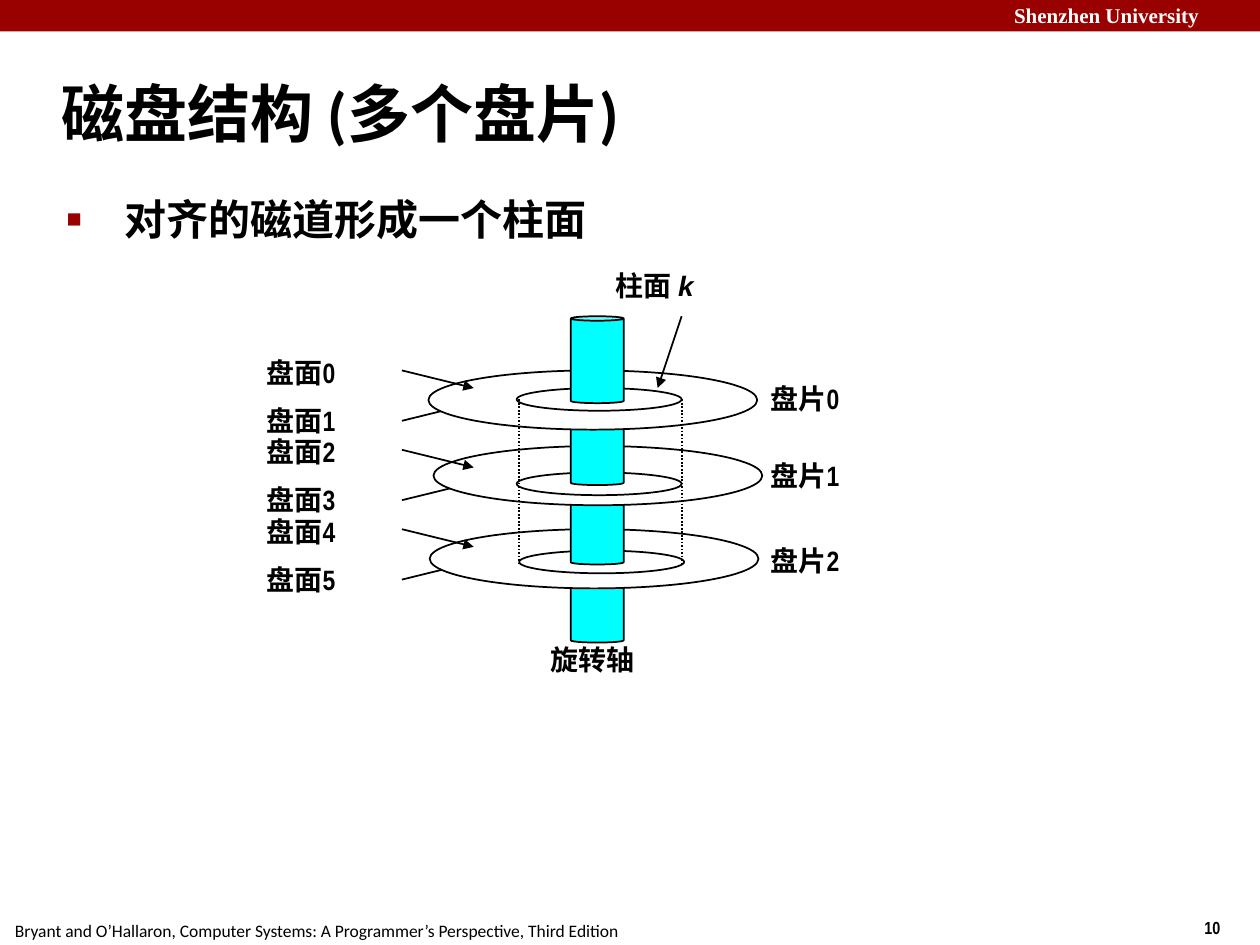
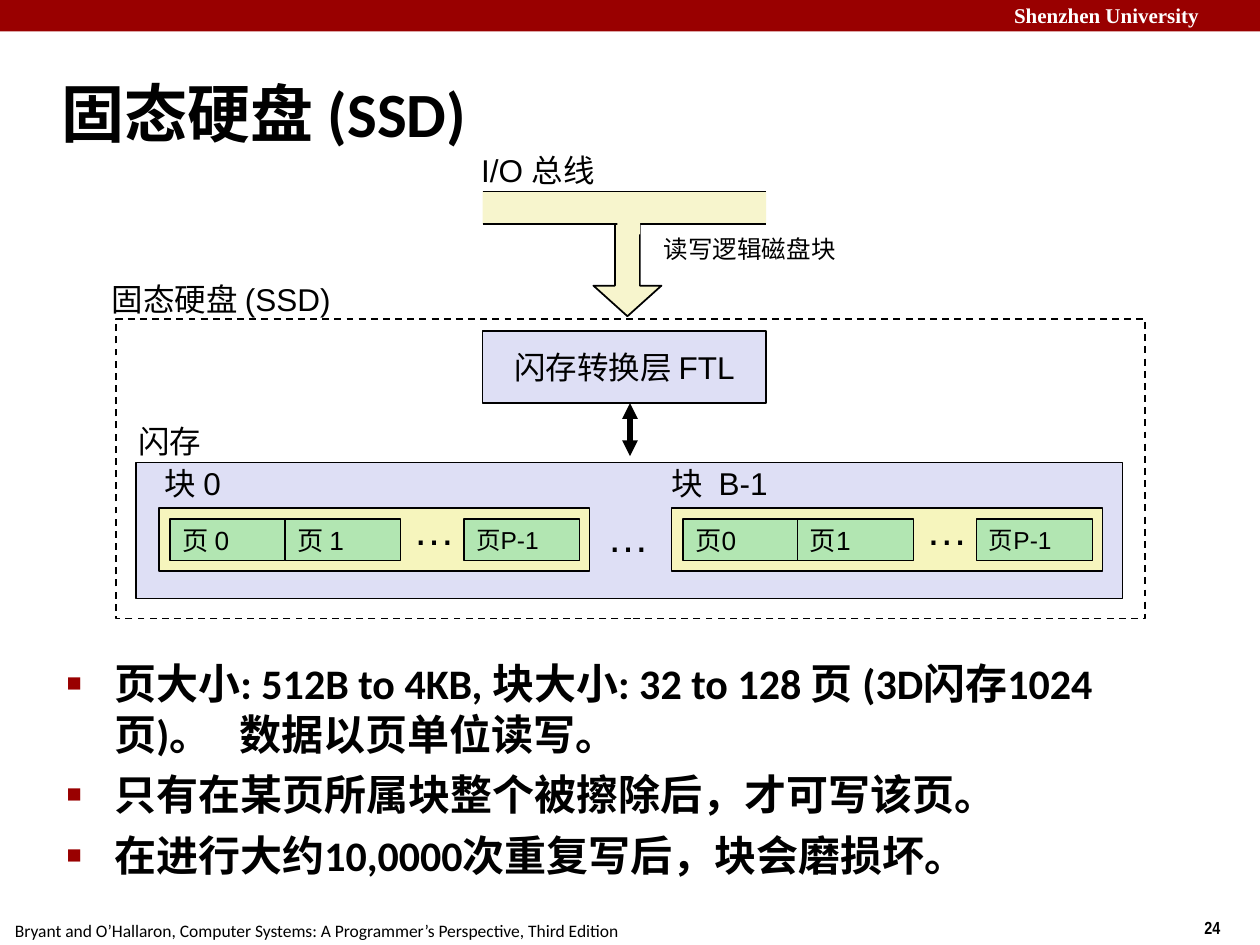
from dataclasses import dataclass
from typing import NamedTuple, Optional

import pptx
import pptx.dml.color
import pptx.enum.dml
import pptx.enum.shapes
import pptx.enum.text
import pptx.oxml
import pptx.oxml.ns
import pptx.util

Inches = pptx.util.Inches
Pt = pptx.util.Pt
SHAPE = pptx.enum.shapes.MSO_SHAPE
ALIGN = pptx.enum.text.PP_ALIGN
ANCHOR = pptx.enum.text.MSO_ANCHOR
FIT = pptx.enum.text.MSO_AUTO_SIZE
DASH = pptx.enum.dml.MSO_LINE


@dataclass(frozen=True)
class Theme:
    red: str = "990000"
    black: str = "000000"
    white: str = "FFFFFF"
    cyan: str = "00FFFF"
    lilac: str = "DEDFF5"
    cream: str = "F7F5CD"
    yellow: str = "F6F5BD"
    green: str = "B2E6B2"
    sans: str = "Arial"
    narrow: str = "Arial Narrow"
    main: str = "Calibri"
    serif: str = "Times New Roman"
    title: float = 36
    body: float = 24
    label: float = 18
    disk: float = 16
    page: float = 15
    note: float = 14
    head: float = 12
    foot: float = 10


T = Theme()


class Style(NamedTuple):
    font: str
    size: float
    bold: bool = False
    color: str = T.black


class Run(NamedTuple):
    text: str
    italic: bool = False
    gap: float = 0  # extra letter spacing in points


class Box(NamedTuple):
    x: float
    y: float
    w: float
    h: float


class Platter(NamedTuple):
    disc: tuple[float, float]
    ring: tuple[float, float]
    spin: float
    name: float


class Block(NamedTuple):
    x: float
    title: list[Run]
    inset: float
    width: float
    pages: tuple[str, str, str]


HEAD = Style(T.serif, T.head, True, T.white)
NUMBER = Style(T.narrow, T.foot, True)
FOOT = Style(T.main, T.foot)
TITLE = Style(T.main, T.title, True)
BODY = Style(T.main, T.body, True)
DISK = Style(T.narrow, T.disk, True)
LABEL = Style(T.sans, T.label)
PAGE = Style(T.sans, T.page)
SMALL = Style(T.sans, T.note)
NOTE = Style(T.narrow, T.note)
DOTS = Style(T.sans, T.body)

PLATTERS = [
    Platter((3.40, 2.94), (4.10, 3.08), 3.16, 2.98),
    Platter((3.44, 3.54), (4.10, 3.75), 3.79, 3.59),
    Platter((3.41, 4.20), (4.12, 4.37), 4.41, 4.26),
]
BLOCKS = [
    Block(1.26, [Run("块 0")], 0.05, 0.72, ("页 0", "页 1", "页P-1")),
    Block(5.33, [Run("块"), Run(" ", gap=5), Run("B-1")], 0.1, 1.03,
          ("页0", "页1", "页P-1")),
]


def rgb(code: str):
    return pptx.dml.color.RGBColor.from_string(code)


def add_runs(para, runs: list[Run], style: Style) -> None:
    for part in runs:
        run = para.add_run()
        run.text = part.text
        font = run.font
        font.name, font.size = style.font, Pt(style.size)
        font.bold, font.italic = style.bold, part.italic
        font.color.rgb = rgb(style.color)
        if part.gap:
            font._element.set("spc", str(round(part.gap * 100)))


def add_text(slide, box: Box, runs: list[Run], style: Style,
             wrap: bool = False, middle: bool = False):
    """Add a text box; one that does not wrap grows to fit its line."""
    shape = slide.shapes.add_textbox(*map(Inches, box))
    frame = shape.text_frame
    frame.word_wrap = wrap
    frame.auto_size = FIT.NONE if wrap else FIT.SHAPE_TO_FIT_TEXT
    frame.vertical_anchor = ANCHOR.MIDDLE if middle else ANCHOR.TOP
    add_runs(frame.paragraphs[0], runs, style)
    return shape


def add_shape(slide, kind, box: Box, fill: Optional[str] = None,
              line: Optional[str] = T.black):
    shape = slide.shapes.add_shape(kind, *map(Inches, box))
    shape.shadow.inherit = False
    if fill:
        shape.fill.solid()
        shape.fill.fore_color.rgb = rgb(fill)
    else:
        shape.fill.background()
    if line:
        shape.line.color.rgb = rgb(line)
        shape.line.width = Pt(1)
    else:
        shape.line.fill.background()
    return shape


def fill_text(shape, text: str, style: Style, align) -> None:
    frame = shape.text_frame
    frame.word_wrap = False
    frame.vertical_anchor = ANCHOR.MIDDLE
    para = frame.paragraphs[0]
    para.alignment = align
    add_runs(para, [Run(text)], style)


def add_line(slide, start: tuple[float, float], end: tuple[float, float],
             width: float = 1, ends: tuple[str, ...] = (), dash=None) -> None:
    """Draw a line; ends may hold "headEnd" (start) and "tailEnd" (end)."""
    line = slide.shapes.add_connector(
        pptx.enum.shapes.MSO_CONNECTOR.STRAIGHT, *map(Inches, start + end))
    line.line.color.rgb = rgb(T.black)
    line.line.width = Pt(width)
    if dash:
        line.line.dash_style = dash
    stroke = line.line._get_or_add_ln()
    for tag in ends:
        tip = pptx.oxml.ns.qn("a:" + tag)
        stroke.append(stroke.makeelement(tip, {"type": "triangle"}))
    props = line._element.spPr
    props.append(props.makeelement(pptx.oxml.ns.qn("a:effectLst"), {}))


def add_list(slide, box: Box, items: list[list[Run]], indent: float) -> None:
    frame = add_text(slide, box, [], BODY, wrap=True).text_frame
    for index, runs in enumerate(items):
        para = frame.add_paragraph() if index else frame.paragraphs[0]
        props = para._p.get_or_add_pPr()
        props.set("marL", str(Inches(indent)))
        props.set("indent", str(-Inches(indent)))
        if index:
            para.space_before = Pt(6)
        space = pptx.oxml.ns.nsdecls("a")
        for mark in (f'<a:buClr {space}><a:srgbClr val="{T.red}"/></a:buClr>',
                     f'<a:buSzPct {space} val="60000"/>',
                     f'<a:buFont {space} typeface="{T.sans}"/>',
                     f'<a:buChar {space} char="■"/>'):
            props.append(pptx.oxml.parse_xml(mark))
        add_runs(para, runs, BODY)


def add_slide(deck, title: str, number: int):
    """Add a blank slide with the shared band, footer and title."""
    slide = deck.slides.add_slide(deck.slide_layouts[6])
    add_shape(slide, SHAPE.RECTANGLE, Box(0, 0, 10, 0.25), T.red, None)
    add_text(slide, Box(7.95, -0.03, 2.12, 0.3),
             [Run("Shenzhen University")], HEAD, wrap=True)
    add_text(slide, Box(9.46, 7.23, 0.75, 0.27), [Run(str(number))], NUMBER,
             wrap=True)
    add_text(slide, Box(0.02, 7.25, 5.01, 0.27),
             [Run("Bryant and O’Hallaron, Computer Systems: "
                  "A Programmer’s Perspective, Third Edition")], FOOT)
    add_text(slide, Box(0.39, 0.48, 8.3, 0.83), [Run(title)], TITLE,
             wrap=True, middle=True)
    return slide


def add_spin(slide, top: float) -> None:
    can = add_shape(slide, SHAPE.CAN, Box(4.53, top, 0.42, 0.69), T.cyan)
    can.adjustments[0] = 0.085


def add_disk(slide, index: int, disk: Platter) -> None:
    """Draw one platter, its track, its two surfaces and the axle below."""
    upper = 2.94 + 0.63 * index
    lower = upper + 0.4
    tip = ("tailEnd",)
    add_line(slide, (3.19, lower), (3.76, lower - 0.14), ends=tip)
    add_spin(slide, disk.spin)
    add_shape(slide, SHAPE.OVAL, Box(*disk.disc, 2.61, 0.47), T.white)
    add_shape(slide, SHAPE.OVAL, Box(*disk.ring, 1.31, 0.18))
    add_line(slide, (3.19, upper), (3.76, upper + 0.14), ends=tip)
    for side, top in enumerate((upper - 0.17, upper + 0.21)):
        add_text(slide, Box(2.02, top, 0.8, 0.37),
                 [Run(f"盘面{2 * index + side}")], DISK, middle=True)
    add_text(slide, Box(6.02, disk.name, 0.8, 0.37),
             [Run(f"盘片{index}")], DISK, middle=True)


def draw_disks(deck) -> None:
    slide = add_slide(deck, "磁盘结构 (多个盘片)", 10)
    add_list(slide, Box(0.43, 1.49, 8.64, 5.44),
             [[Run("对齐的磁道形成一个柱面")]], 0.46)
    for index, disk in reversed(list(enumerate(PLATTERS))):
        add_disk(slide, index, disk)
    add_spin(slide, 2.51)
    for x in (4.12, 5.41):
        add_line(slide, (x, 3.17), (x, 4.47), dash=DASH.ROUND_DOT)
    add_text(slide, Box(4.79, 2.08, 0.87, 0.37),
             [Run("柱面 "), Run("k", True)],
             DISK._replace(font=T.sans), middle=True)
    add_line(slide, (5.41, 2.51), (5.22, 3.08), ends=("tailEnd",))
    add_text(slide, Box(4.27, 5.05, 0.88, 0.37), [Run("旋转轴")], DISK,
             middle=True)


def add_block(slide, block: Block) -> None:
    x = block.x
    add_shape(slide, SHAPE.RECTANGLE, Box(x, 4.03, 3.42, 0.5), T.yellow)
    styles = (PAGE, PAGE, SMALL)
    for left, text, style in zip((0.09, 1.0, 2.42), block.pages, styles):
        page = add_shape(slide, SHAPE.RECTANGLE,
                         Box(x + left, 4.12, 0.92, 0.33), T.green)
        fill_text(page, text, style, ALIGN.LEFT)
    add_text(slide, Box(x + 1.92, 3.95, 0.53, 0.5), [Run("…")], DOTS)
    add_text(slide, Box(x - block.inset, 3.63, block.width, 0.4),
             block.title, LABEL)


def draw_flash(deck) -> None:
    slide = add_slide(deck, "固态硬盘 (SSD)", 24)
    rect = SHAPE.RECTANGLE
    add_shape(slide, rect, Box(1.08, 3.67, 7.83, 1.08), T.lilac)
    add_list(slide, Box(0.43, 5.17, 8.64, 2.08), [
        [Run("页大小: 512B to 4KB, 块大小: 32 to 128 页 (3D闪存1024页)。"),
         Run(" ", gap=10.8), Run("数据以页单位读写。")],
        [Run("只有在某页所属块整个被擦除后，才可写该页。")],
        [Run("在进行大约10,0000次重复写后，块会磨损坏。")],
    ], 0.38)

    arrow = add_shape(slide, SHAPE.DOWN_ARROW, Box(4.71, 1.76, 0.54, 0.75),
                      T.cream)
    arrow.adjustments[0], arrow.adjustments[1] = 0.367, 0.449
    layer = add_shape(slide, rect, Box(3.83, 2.63, 2.25, 0.57), T.lilac)
    fill_text(layer, "闪存转换层 FTL", LABEL, ALIGN.CENTER)
    add_line(slide, (5, 3.2), (5, 3.62), 3, ("headEnd", "tailEnd"))
    add_shape(slide, rect, Box(3.83, 1.52, 2.25, 0.26), T.cream, None)
    for y in (1.52, 1.78):
        add_line(slide, (3.83, y), (6.08, y))
    add_shape(slide, rect, Box(4.9, 1.69, 0.18, 0.17), T.cream, None)
    add_text(slide, Box(3.72, 1.15, 1.16, 0.4), [Run("I/O 总线")], LABEL,
             middle=True)

    for block in BLOCKS:
        add_block(slide, block)
    add_text(slide, Box(4.72, 4, 0.53, 0.5), [Run("…")], DOTS)
    add_text(slide, Box(1, 3.3, 0.7, 0.4), [Run("闪存")], LABEL)
    frame = add_shape(slide, rect, Box(0.92, 2.53, 8.17, 2.38))
    frame.line.dash_style = DASH.DASH
    add_text(slide, Box(0.79, 2.17, 2, 0.4), [Run("固态硬盘 (SSD)")], LABEL)
    add_text(slide, Box(5.17, 1.81, 2.33, 0.34), [Run("读写逻辑磁盘块")],
             NOTE, wrap=True)


def main() -> None:
    deck = pptx.Presentation()
    deck.slide_width, deck.slide_height = Inches(10), Inches(7.5)
    draw_disks(deck)
    draw_flash(deck)
    deck.save("out.pptx")


if __name__ == "__main__":
    main()
